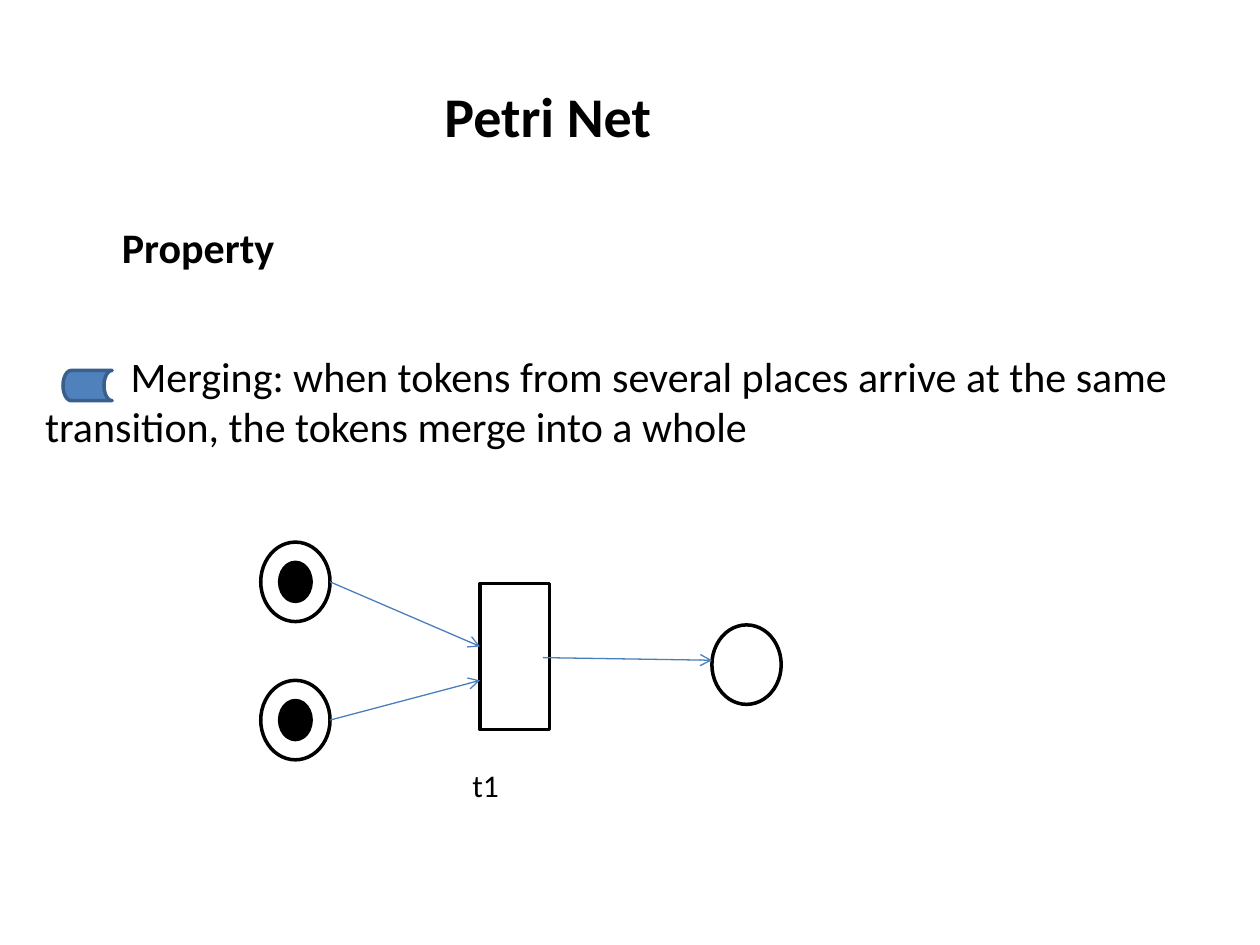
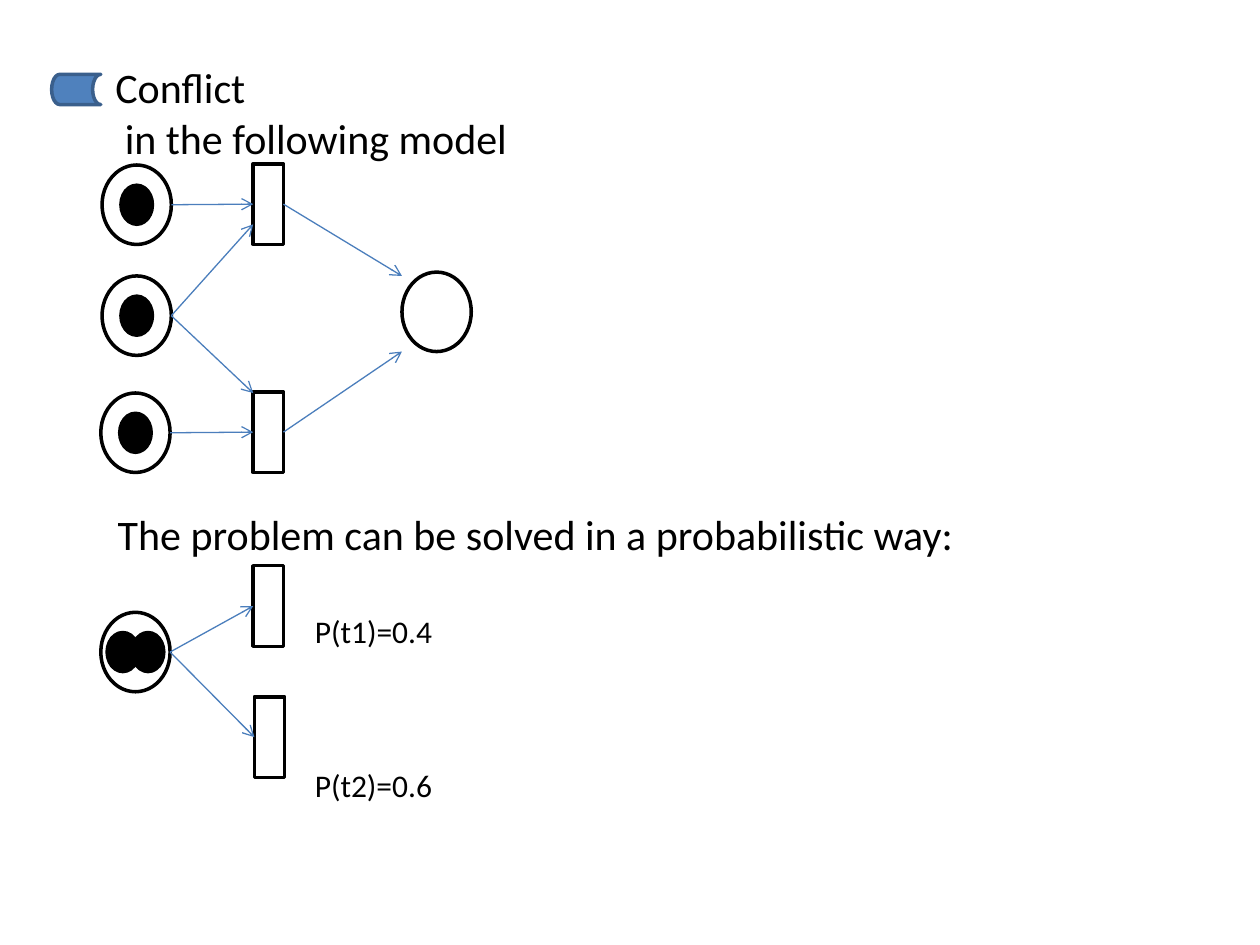
import pptx
import pptx.dml.color
import pptx.enum.shapes
import pptx.enum.text
import pptx.oxml
import pptx.oxml.ns
import pptx.util
import lxml.etree

Pt = pptx.util.Pt
SHAPES = pptx.enum.shapes.MSO_SHAPE
COLOURS = {
    name: pptx.dml.color.RGBColor.from_string(code)
    for name, code in {
        "ink": "000000", "paper": "FFFFFF", "marker": "4F81BD",
        "marker_edge": "3A5F8C", "arrow": "4B7EBC",
    }.items()
}
FONT = "Calibri"
PLACE_W, PLACE_H = 39.6, 45.4
TOKEN_W, TOKEN_H = 18, 22.3
BAR_W, BAR_H = 17.3, 46.1


def draw_shape(slide, preset, left, top, width, height, fill="paper", edge="ink"):
    shape = slide.shapes.add_shape(preset, Pt(left), Pt(top), Pt(width), Pt(height))
    shape.shadow.inherit = False
    shape.fill.solid()
    shape.fill.fore_color.rgb = COLOURS[fill]
    shape.line.color.rgb = COLOURS[edge]
    shape.line.width = Pt(2)
    return shape


def draw_arrow(slide, start, end):
    """Each end is an (x, y) point, or a transition bar joined at its side."""
    from_point = isinstance(start, tuple)
    to_point = isinstance(end, tuple)
    x1, y1 = start if from_point else (0, 0)
    x2, y2 = end if to_point else (0, 0)
    arrow = slide.shapes.add_connector(
        pptx.enum.shapes.MSO_CONNECTOR.STRAIGHT, Pt(x1), Pt(y1), Pt(x2), Pt(y2))
    if not from_point:
        arrow.begin_connect(start, 3)
    if not to_point:
        arrow.end_connect(end, 1)
    arrow.line.color.rgb = COLOURS["arrow"]
    arrow.line.width = Pt(0.75)
    properties = arrow.element.spPr
    outline = properties.find(pptx.oxml.ns.qn("a:ln"))
    lxml.etree.SubElement(outline, pptx.oxml.ns.qn("a:tailEnd"), type="arrow")
    lxml.etree.SubElement(properties, pptx.oxml.ns.qn("a:effectLst"))


deck = pptx.Presentation()
deck.slide_width, deck.slide_height = Pt(720), Pt(540)
merging = deck.slides.add_slide(deck.slide_layouts[5])
conflict = deck.slides.add_slide(deck.slide_layouts[6])

# Title of the merging slide
title = merging.shapes.title
title.left, title.top, title.width, title.height = Pt(105), Pt(43.2), Pt(448), Pt(46)
title_frame = title.text_frame
title_frame.margin_left = Pt(149)
title_frame.vertical_anchor = pptx.enum.text.MSO_ANCHOR.TOP
title_frame.paragraphs[0].alignment = pptx.enum.text.PP_ALIGN.LEFT
heading = title_frame.paragraphs[0].add_run()
heading.text = "Petri Net"
heading.font.name, heading.font.size, heading.font.bold = FONT, Pt(32), True
heading.font.color.rgb = COLOURS["ink"]

# Text: slide, box, size, bold, paragraphs with their first-line indents
texts = [
    (merging, (62.6, 123.1, 590, 36), 24, True, [("Property", 0)]),
    (merging, (18.7, 196.6, 680.4, 65.5), 24, False,
     [("Merging: when tokens from several places arrive at the same transition, "
       "the tokens merge into a whole", 48.8)]),
    (merging, (262.8, 434.2, 62.6, 28.8), 18, False, [("t1", 0)]),
    (conflict, (42.5, 31.7, 646.6, 65.5), 24, False,
     [("Conflict", 16.3), ("in the following model", 21.7)]),
    (conflict, (43.9, 287.3, 645, 36), 24, False,
     [("The problem can be solved in a probabilistic way:", 16.3)]),
    (conflict, (172.8, 346.3, 118.8, 28.8), 18, False, [("P(t1)=0.4", 0)]),
    (conflict, (172.8, 434.2, 108, 28.8), 18, False, [("P(t2)=0.6", 0)]),
]
for slide, box, size, bold, lines in texts:
    frame = slide.shapes.add_textbox(*map(Pt, box)).text_frame
    frame.word_wrap = True
    for number, (words, indent) in enumerate(lines):
        paragraph = frame.add_paragraph() if number else frame.paragraphs[0]
        if indent:
            paragraph._p.get_or_add_pPr().set("indent", str(Pt(indent)))
        run = paragraph.add_run()
        run.text = words
        run.font.name, run.font.size, run.font.bold = FONT, Pt(size), bold
        run.font.color.rgb = COLOURS["ink"]

# Markers before the two properties
for slide, left, top in [(merging, 36, 211.7), (conflict, 29.5, 42.5)]:
    draw_shape(slide, SHAPES.FLOWCHART_STORED_DATA, left, top, 28.1, 17.3,
               "marker", "marker_edge")

# Places: slide, centre, token offsets from the centre
places = [
    (merging, 168.8, 332.5, [0]),
    (merging, 168.8, 411.5, [0]),
    (merging, 426.6, 379.8, []),
    (conflict, 78.1, 117, [0]),
    (conflict, 78.1, 180.4, [0]),
    (conflict, 77.4, 247.3, [0]),
    (conflict, 249.5, 178.2, []),
    (conflict, 77.4, 372.6, [-7.2, 7.2]),
]
exits = []
for slide, x, y, offsets in places:
    draw_shape(slide, SHAPES.OVAL, x - PLACE_W / 2, y - PLACE_H / 2, PLACE_W, PLACE_H)
    for offset in offsets:
        draw_shape(slide, SHAPES.OVAL, x + offset - TOKEN_W / 2, y - TOKEN_H / 2,
                   TOKEN_W, TOKEN_H, "ink")
    exits.append((x + PLACE_W / 2, y))
upper, lower, _, first, shared, last, _, choice = exits

# Transitions
draw_shape(merging, SHAPES.RECTANGLE, 274.3, 333.4, 39.6, 83.5)
top_bar, bottom_bar, t1_bar, t2_bar = [
    draw_shape(conflict, SHAPES.RECTANGLE, left, top, BAR_W, BAR_H)
    for left, top in [(144.7, 93.6), (144.7, 223.9), (144.7, 323.3), (145.4, 398.2)]
]

# Arrows
for slide, start, end in [
    (merging, upper, (274.3, 369.4)),
    (merging, lower, (274.3, 388.8)),
    (merging, (310.3, 375.8), (406.8, 377.3)),
    (conflict, first, top_bar),
    (conflict, shared, (144.7, 128.2)),
    (conflict, shared, (144.7, 224.6)),
    (conflict, last, bottom_bar),
    (conflict, top_bar, (229.7, 157.7)),
    (conflict, bottom_bar, (229.7, 200.9)),
    (conflict, choice, t1_bar),
    (conflict, choice, t2_bar),
]:
    draw_arrow(slide, start, end)

deck.save("out.pptx")
